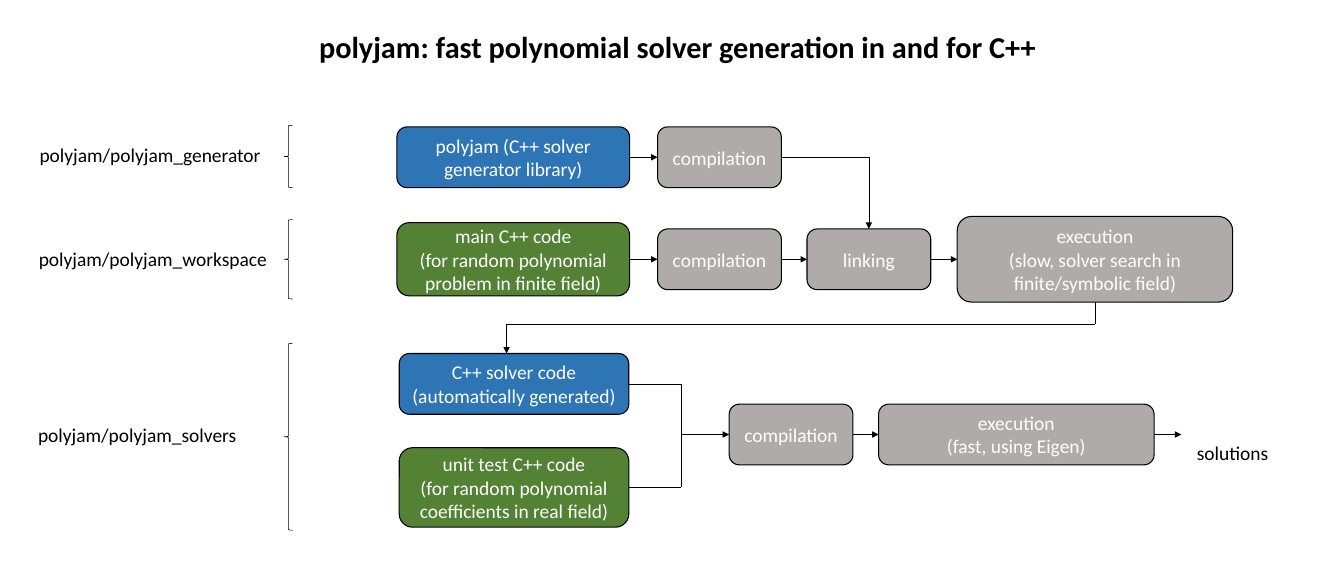
"""Builds the polyjam solver generation flow slide."""
from lxml import etree
from pptx import Presentation
from pptx.dml.color import RGBColor
from pptx.enum.shapes import MSO_CONNECTOR, MSO_SHAPE
from pptx.enum.text import MSO_ANCHOR, MSO_AUTO_SIZE, PP_ALIGN
from pptx.oxml.ns import qn
from pptx.util import Inches, Pt

STRAIGHT = MSO_CONNECTOR.STRAIGHT
ROUNDED, BRACE = MSO_SHAPE.ROUNDED_RECTANGLE, MSO_SHAPE.LEFT_BRACE
TOP, MIDDLE = MSO_ANCHOR.TOP, MSO_ANCHOR.MIDDLE
LEFT, CENTER = PP_ALIGN.LEFT, PP_ALIGN.CENTER
FIT_SHAPE = MSO_AUTO_SIZE.SHAPE_TO_FIT_TEXT

BLACK = RGBColor(0x00, 0x00, 0x00)
WHITE = RGBColor(0xFF, 0xFF, 0xFF)
BLUE = RGBColor(0x2E, 0x75, 0xB6)
GREEN = RGBColor(0x54, 0x82, 0x35)
GRAY = RGBColor(0xAF, 0xAB, 0xAB)

SLIDE_W, SLIDE_H = 17.27, 7.5
TITLE = "polyjam: fast polynomial solver generation in and for C++"
TITLE_BOX = (4, 0.31, 9.52, 0.57)

ROWS = {"library": 2.02, "main": 3.33, "solver": 4.93, "run": 5.58, "test": 6.26}
COLS = {"source": 5.1, "result": 5.13, "compile": 8.45, "link": 10.37,
        "search": 12.3, "test compile": 9.37, "run": 11.29}
SOURCE_W, RESULT_W, STEP_W, EXEC_W = 2.99, 2.95, 1.59, 3.54
STEP_H = 0.78
BUS_X, RETURN_Y, OUTPUT_X = 8.75, 4.16, 15.18

BOXES = {
    "library": ("source", "library", SOURCE_W, STEP_H, BLUE,
                ["polyjam (C++ solver generator library)"]),
    "library compile": ("compile", "library", STEP_W, STEP_H, GRAY, ["compilation"]),
    "main": ("source", "main", SOURCE_W, 0.94, GREEN,
             ["main C++ code", "(for random polynomial problem in finite field)"]),
    "main compile": ("compile", "main", STEP_W, STEP_H, GRAY, ["compilation"]),
    "link": ("link", "main", STEP_W, STEP_H, GRAY, ["linking"]),
    "search": ("search", "main", EXEC_W, 1.1, GRAY,
               ["execution", "(slow, solver search in finite/symbolic field)"]),
    "solver": ("result", "solver", RESULT_W, STEP_H, BLUE,
               ["C++ solver code", "(automatically generated)"]),
    "test": ("result", "test", RESULT_W, 1.02, GREEN,
             ["unit test C++ code", "(for random polynomial coefficients in real field)"]),
    "test compile": ("test compile", "run", STEP_W, STEP_H, GRAY, ["compilation"]),
    "run": ("run", "run", EXEC_W, STEP_H, GRAY, ["execution", "(fast, using Eigen)"]),
}
LINKS = [("library", "library compile"), ("main", "main compile"),
         ("main compile", "link"), ("link", "search"), ("test compile", "run")]
LABELS = [
    ("polyjam/polyjam_generator", 0.41, 1.79, 3.07),
    ("polyjam/polyjam_workspace", 0.4, 3.13, 3.16),
    ("polyjam/polyjam_solvers", 0.39, 5.39, 2.78),
    ("solutions", 15.28, 5.62, 1.13),
]
LABEL_H = 0.4
BRACES = [(1.61, 0.8), (2.82, 1.02), (4.41, 2.4)]
BRACE_X, BRACE_W = 3.65, 0.11


def write(tf, lines, size=18, color=BLACK, bold=False, align=LEFT,
          anchor=TOP, wrap=False):
    """Fills a text frame with one paragraph per line."""
    tf.word_wrap = wrap
    tf.vertical_anchor = anchor
    if not wrap:
        tf.auto_size = FIT_SHAPE
    for i, line in enumerate(lines):
        p = tf.paragraphs[0] if i == 0 else tf.add_paragraph()
        p.alignment = align
        r = p.add_run()
        r.text = line
        r.font.name, r.font.size, r.font.bold = "Calibri", Pt(size), bold
        r.font.color.rgb = color


def add_outline(s, kind, box, weight, fill=None):
    """Adds a preset shape with a black line and an optional fill."""
    sp = s.shapes.add_shape(kind, *map(Inches, box))
    sp.shadow.inherit = False
    sp.line.color.rgb, sp.line.width = BLACK, Pt(weight)
    if fill is None:
        sp.fill.background()
    else:
        sp.fill.solid()
        sp.fill.fore_color.rgb = fill
    return sp


def add_route(s, points, arrow=True):
    """Joins points with straight connectors, the last with an arrowhead."""
    for i, (start, end) in enumerate(zip(points, points[1:]), 2):
        c = s.shapes.add_connector(STRAIGHT, *map(Inches, start + end))
        c.line.color.rgb, c.line.width = BLACK, Pt(0.5)
        if arrow and i == len(points):
            etree.SubElement(c.line._get_or_add_ln(), qn("a:tailEnd"), type="triangle")
        etree.SubElement(c._element.spPr, qn("a:effectLst"))


def side(name, dx, dy):
    """Returns a point on a box, dx and dy being -1, 0 or 1 from its centre."""
    col, row, w, h = BOXES[name][:4]
    return COLS[col] + w * (1 + dx) / 2, ROWS[row] + h * dy / 2


def main():
    """Draws the slide and saves it."""
    prs = Presentation()
    prs.slide_width, prs.slide_height = Inches(SLIDE_W), Inches(SLIDE_H)
    s = prs.slides.add_slide(prs.slide_layouts[5])

    title = s.shapes.title
    title.left, title.top, title.width, title.height = map(Inches, TITLE_BOX)
    write(title.text_frame, [TITLE], size=28, bold=True)

    for col, row, w, h, fill, lines in BOXES.values():
        sp = add_outline(s, ROUNDED, (COLS[col], ROWS[row] - h / 2, w, h), 1, fill)
        write(sp.text_frame, lines, color=WHITE, align=CENTER, anchor=MIDDLE, wrap=True)

    for start, end in LINKS:
        add_route(s, [side(start, 1, 0), side(end, -1, 0)])

    compiled, link_top = side("library compile", 1, 0), side("link", 0, -1)
    add_route(s, [compiled, (link_top[0], compiled[1]), link_top])

    found, solver_top = side("search", 0, 1), (6.51, side("solver", 0, -1)[1])
    add_route(s, [found, (found[0], RETURN_Y), (solver_top[0], RETURN_Y), solver_top])

    solver, test = side("solver", 1, 0), side("test", 1, 0)
    add_route(s, [solver, (BUS_X, solver[1]), (BUS_X, test[1]), test], arrow=False)
    add_route(s, [(BUS_X, ROWS["run"]), side("test compile", -1, 0)])
    add_route(s, [side("run", 1, 0), (OUTPUT_X, ROWS["run"])])

    for text, x, y, w in LABELS:
        tb = s.shapes.add_textbox(*map(Inches, (x, y, w, LABEL_H)))
        write(tb.text_frame, [text])

    for y, h in BRACES:
        add_outline(s, BRACE, (BRACE_X, y, BRACE_W, h), 0.5)

    prs.save("out.pptx")


if __name__ == "__main__":
    main()
